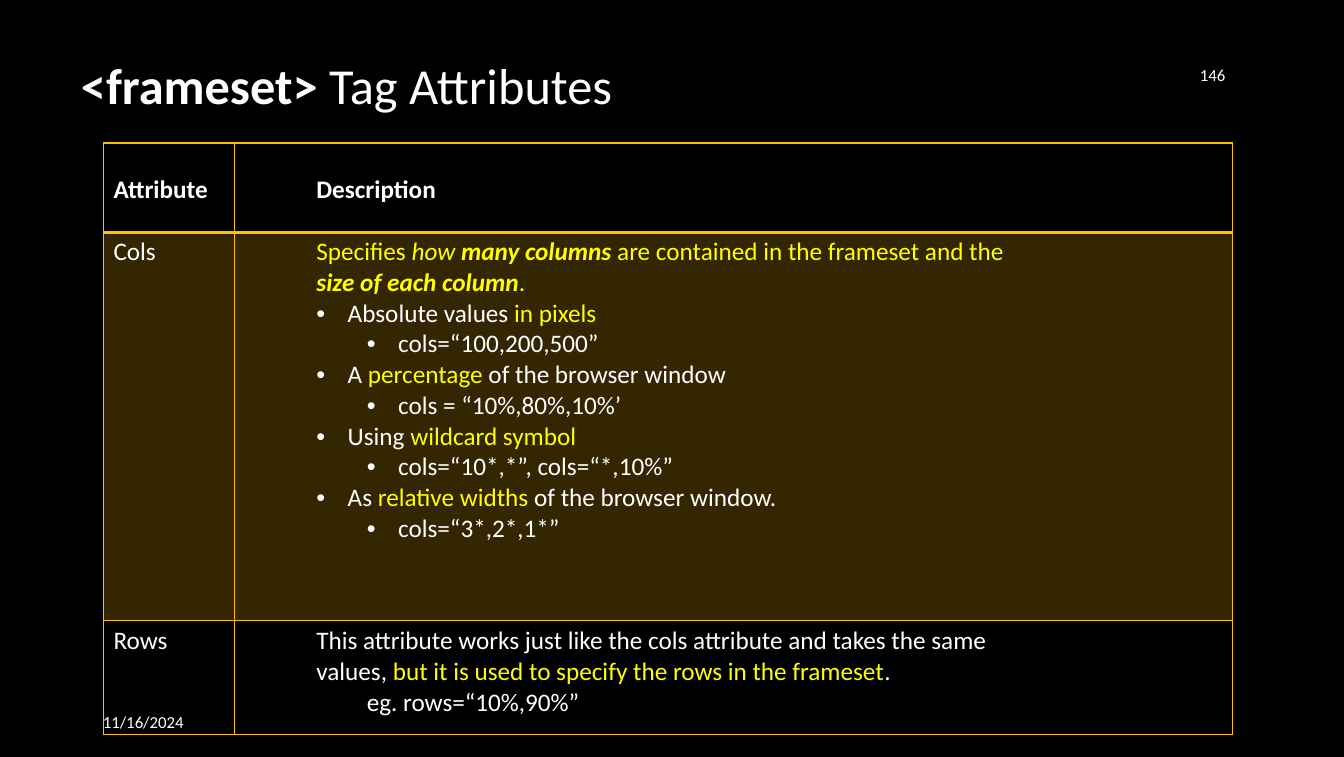
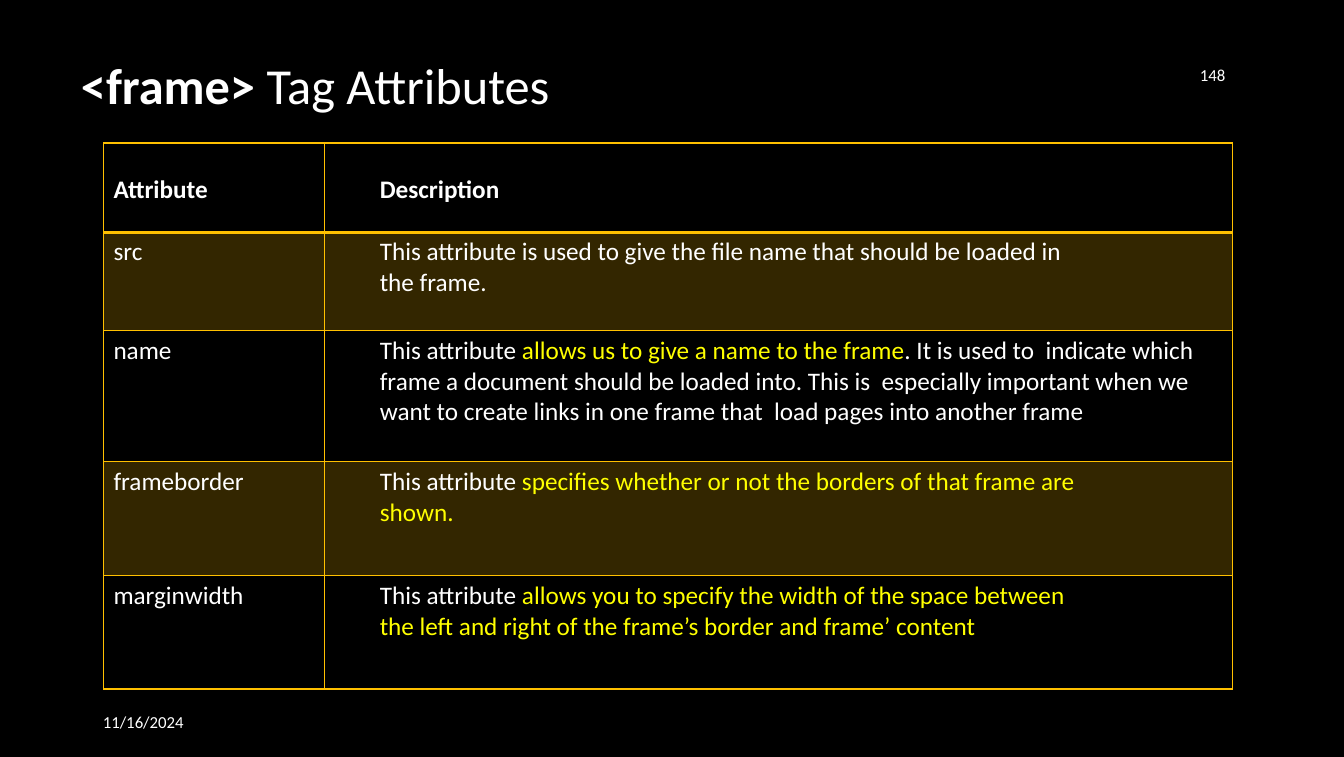
from dataclasses import dataclass

from lxml.etree import SubElement
from pptx import Presentation
from pptx.dml.color import RGBColor
from pptx.enum.text import MSO_ANCHOR, PP_ALIGN
from pptx.oxml import parse_xml
from pptx.oxml.ns import nsdecls, qn
from pptx.util import Cm, Pt


@dataclass(frozen=True)
class Theme:
    font: str = "Calibri"
    background: str = "000000"
    text: str = "FFFFFF"
    highlight: str = "FFFF00"
    gold: str = "FFC000"
    band_opacity: int = 20
    title_size: int = 36
    body_size: int = 18
    footer_size: int = 12
    rule: float = 1
    header_rule: float = 2


THEME = Theme()
DATE = "11/16/2024"

# Table geometry in cm
TABLE_LEFT, TABLE_TOP, TABLE_WIDTH = 2.61, 3.6, 28.45
HEADER_HEIGHT = 2.26
LABEL_INDENT, HANGING, LEVEL_STEP = 0.25, 0.79, 1.27
HEADER_INSET, FIRST_INSET, ROW_INSET = 0.79, 0.1, 0.13


@dataclass
class Line:
    """A paragraph; run styles combine y (highlight), b (bold), i (italic)."""
    runs: list
    level: int = 0
    bullet: bool = False


def plain(text, style="", level=0):
    return Line([(text, style)], level)


def point(*runs):
    return Line(list(runs), bullet=True)


def example(text):
    return Line([(text, "")], level=1, bullet=True)


# Text
def add_run(paragraph, text, size, style=""):
    run = paragraph.add_run()
    run.text = text
    font = run.font
    font.name, font.size = THEME.font, Pt(size)
    font.bold, font.italic = "b" in style, "i" in style
    color = THEME.highlight if "y" in style else THEME.text
    font.color.rgb = RGBColor.from_string(color)


def set_indent(paragraph, line, base):
    """Indent by level; a bulleted line hangs to the right of its mark."""
    props = paragraph._p.get_or_add_pPr()
    left = base + line.level * LEVEL_STEP + line.bullet * HANGING
    props.set("marL", str(Cm(left)))
    props.set("indent", str(Cm(-HANGING) if line.bullet else 0))
    if line.bullet:
        paragraph.level = line.level
        SubElement(props, qn("a:buFont")).set("typeface", "Arial")
        SubElement(props, qn("a:buChar")).set("char", "•")


def add_label(slide, box, runs, size, align=PP_ALIGN.LEFT, insets=None):
    frame = slide.shapes.add_textbox(*(Cm(side) for side in box)).text_frame
    frame.word_wrap = True
    frame.vertical_anchor = MSO_ANCHOR.MIDDLE
    if insets:
        (frame.margin_left, frame.margin_top, frame.margin_right,
         frame.margin_bottom) = (Cm(inset) for inset in insets)
    paragraph = frame.paragraphs[0]
    paragraph.alignment = align
    for text, style in runs:
        add_run(paragraph, text, size, style)


# Table
def style_cell(cell, row):
    """Tint every second row and rule all four edges."""
    props = cell._tc.get_or_add_tcPr()
    if row % 2:
        cell.fill.solid()
        cell.fill.fore_color.rgb = RGBColor.from_string(THEME.gold)
        tint = props.find(qn("a:solidFill")).find(qn("a:srgbClr"))
        SubElement(tint, qn("a:alpha")).set("val", str(THEME.band_opacity * 1000))
    else:
        cell.fill.background()
    heavy_edge = {0: "B", 1: "T"}.get(row)
    for position, edge in enumerate("LRTB"):
        width = THEME.header_rule if edge == heavy_edge else THEME.rule
        props.insert(position, parse_xml(
            f'<a:ln{edge} {nsdecls("a")} w="{Pt(width)}"><a:solidFill>'
            f'<a:srgbClr val="{THEME.gold}"/></a:solidFill></a:ln{edge}>'))


def fill_cell(cell, lines, indent, row):
    cell.margin_left = cell.margin_right = cell.margin_bottom = 0
    cell.margin_top = Cm({0: HEADER_INSET, 1: FIRST_INSET}.get(row, ROW_INSET))
    cell.vertical_anchor = MSO_ANCHOR.TOP
    frame = cell.text_frame
    for number, line in enumerate(lines):
        paragraph = frame.add_paragraph() if number else frame.paragraphs[0]
        set_indent(paragraph, line, indent)
        for text, style in line.runs:
            add_run(paragraph, text, THEME.body_size, style)
    style_cell(cell, row)


def add_attribute_table(slide, label_width, indent, attributes):
    """attributes: (name, row height, description lines)."""
    entries = [("Attribute", HEADER_HEIGHT, [plain("Description", "b")]), *attributes]
    heights = [height for _, height, _ in entries]
    table = slide.shapes.add_table(
        len(entries), 2, Cm(TABLE_LEFT), Cm(TABLE_TOP),
        Cm(TABLE_WIDTH), Cm(sum(heights))).table
    table.first_row = table.horz_banding = False
    table.columns[0].width = Cm(label_width)
    table.columns[1].width = Cm(TABLE_WIDTH - label_width)
    for row, (name, height, description) in enumerate(entries):
        table.rows[row].height = Cm(height)
        label = plain(name, "" if row else "b")
        fill_cell(table.cell(row, 0), [label], LABEL_INDENT, row)
        fill_cell(table.cell(row, 1), description, indent, row)


# Slide frame: background, title, date and page number
def add_tag_slide(deck, tag, number):
    slide = deck.slides.add_slide(deck.slide_layouts[6])
    slide.background.fill.solid()
    slide.background.fill.fore_color.rgb = RGBColor.from_string(THEME.background)
    add_label(slide, (2.01, 1.32, 26.14, 1.58),
              [(f"{tag} ", "b"), ("Tag Attributes", "")],
              THEME.title_size, insets=(0.03, 0.04, 0, 0))
    add_label(slide, (2.34, 17.68, 7.62, 1.02), [(DATE, "")], THEME.footer_size)
    add_label(slide, (28.78, 0.81, 2.34, 2.13), [(str(number), "")],
              THEME.footer_size, PP_ALIGN.RIGHT)
    return slide


FRAMESET_ATTRIBUTES = [
    ("Cols", 9.78, [
        Line([("Specifies ", "y"), ("how ", "yi"), ("many columns ", "ybi"),
              ("are contained in the frameset and the", "y")]),
        Line([("size of each column", "ybi"), (".", "y")]),
        point(("Absolute values ", ""), ("in pixels", "y")),
        example("cols=“100,200,500”"),
        point(("A ", ""), ("percentage", "y"), (" of the browser window", "")),
        example("cols = “10%,80%,10%’"),
        point(("Using ", ""), ("wildcard symbol", "y")),
        example("cols=“10*,*”, cols=“*,10%”"),
        point(("As ", ""), ("relative widths ", "y"), ("of the browser window.", "")),
        example("cols=“3*,2*,1*”"),
    ]),
    ("Rows", 2.87, [
        plain("This attribute works just like the cols attribute and takes the same"),
        Line([("values, ", ""),
              ("but it is used to specify the rows in the frameset", "y"), (".", "")]),
        plain("eg. rows=“10%,90%”", level=1),
    ]),
]

FRAME_ATTRIBUTES = [
    ("src", 2.46, [
        plain("This attribute is used to give the file name that should be loaded in"),
        plain("the frame."),
    ]),
    ("name", 3.3, [
        Line([("This attribute ", ""), ("allows us to give a name to the frame", "y"),
              (". It is used to  indicate which frame a document should be loaded "
               "into. This is  especially important when we want to create links in "
               "one frame that  load pages into another frame", "")]),
    ]),
    ("frameborder", 2.87, [
        Line([("This attribute ", ""),
              ("specifies whether or not the borders of that frame are", "y")]),
        plain("shown.", "y"),
    ]),
    ("marginwidth", 2.87, [
        Line([("This attribute ", ""),
              ("allows you to specify the width of the space between", "y")]),
        plain("the left and right of the frame’s border and frame’ content", "y"),
    ]),
]


def main():
    deck = Presentation()
    deck.slide_width, deck.slide_height = Cm(33.86), Cm(19.07)

    frameset = add_tag_slide(deck, "<frameset>", 146)
    add_attribute_table(frameset, 3.3, 2.06, FRAMESET_ATTRIBUTES)

    frame = add_tag_slide(deck, "<frame>", 148)
    add_attribute_table(frame, 5.56, 1.4, FRAME_ATTRIBUTES)

    deck.save("out.pptx")


if __name__ == "__main__":
    main()
